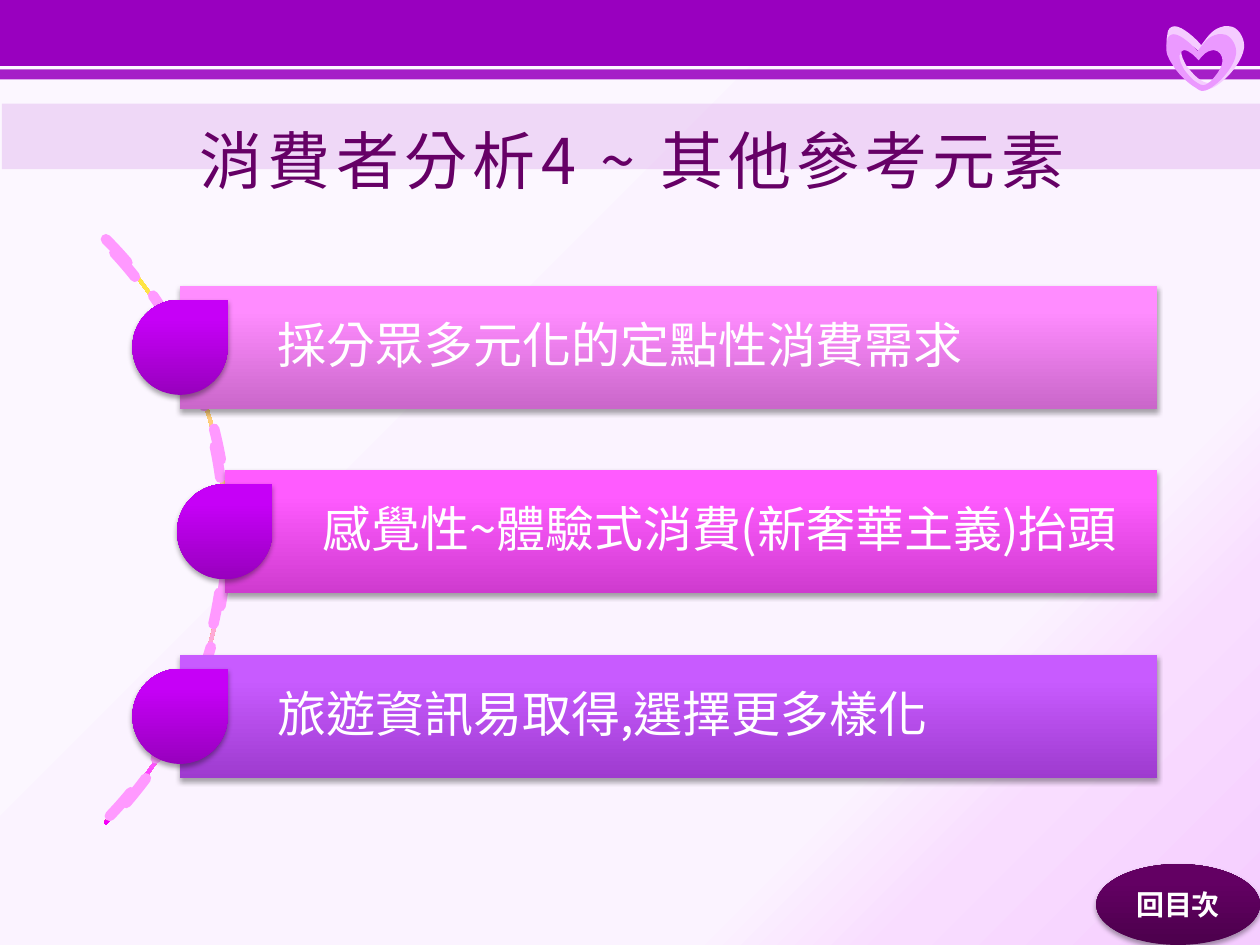
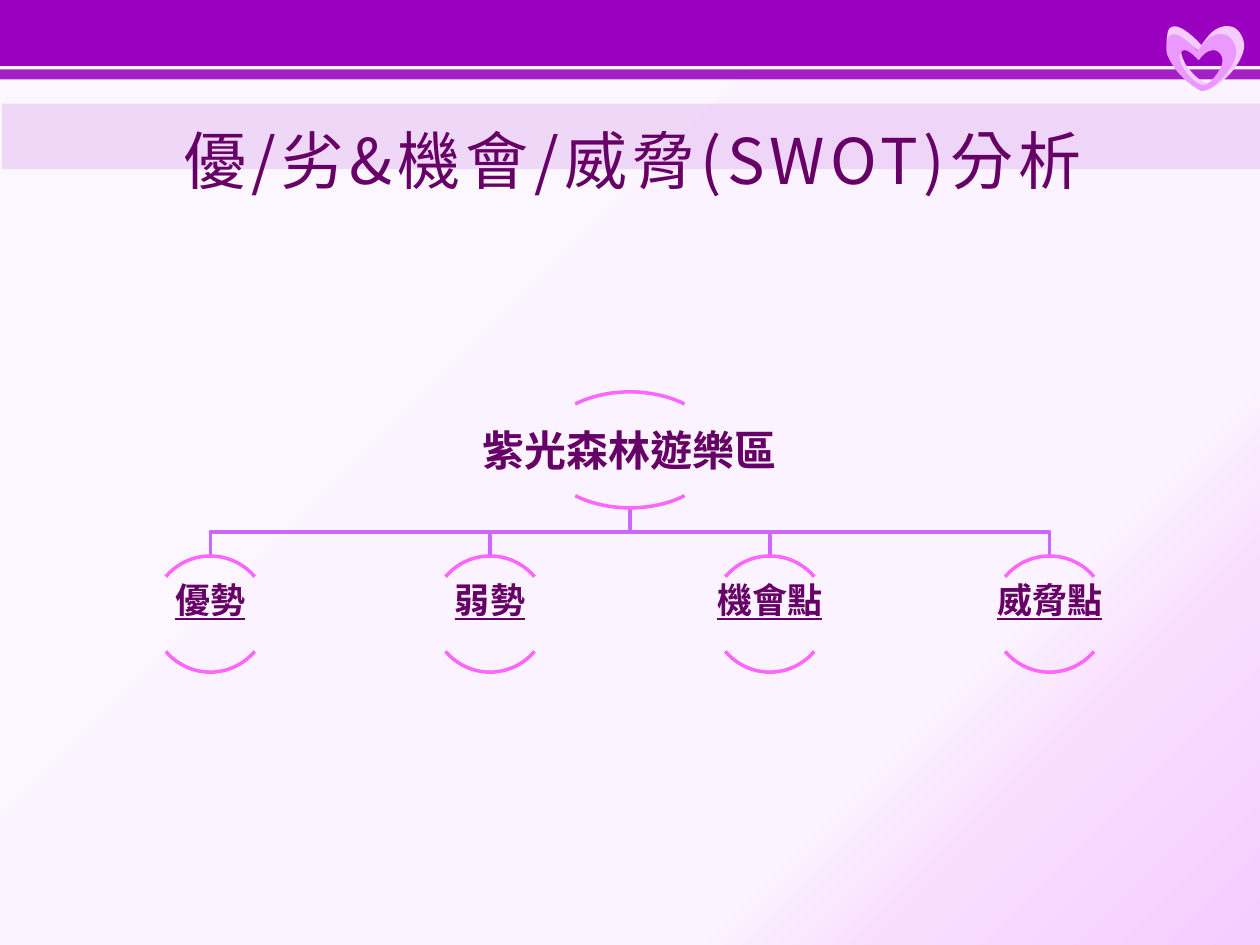
from lxml import etree
from pptx import Presentation
from pptx.dml.color import RGBColor
from pptx.enum.dml import MSO_LINE
from pptx.enum.lang import MSO_LANGUAGE_ID as Language
from pptx.enum.shapes import MSO_SHAPE as Preset
from pptx.enum.text import MSO_ANCHOR as Anchor, PP_ALIGN as Align
from pptx.oxml import parse_xml
from pptx.oxml.ns import nsdecls, qn
from pptx.util import Cm, Pt

PURPLE = RGBColor(0x99, 0x00, 0xBF)
PLUM = RGBColor(0x66, 0x00, 0x66)
PINK = RGBColor(0xFF, 0x66, 0xFF)
LIGHT_PINK = RGBColor(0xFF, 0x99, 0xFF)
VIOLET = RGBColor(0xCC, 0x66, 0xFF)
PALE_LILAC = RGBColor(0xF5, 0xCC, 0xFF)
LILAC = RGBColor(0xEB, 0x99, 0xFF)
WHITE = RGBColor(0xFF, 0xFF, 0xFF)
CJK_FONT = "Noto Sans CJK SC"
LATIN_FONT = "Arial"


def gradient_stops(positions, *colors):
    return [(position, RGBColor.from_string(color)) for position, color in zip(positions, colors)]


GLOSS = (0, 80, 100)
SWEEP = (0, 74, 83, 100)
PAGE_STOPS = gradient_stops(SWEEP, "FCF7FF", "FBF3FF", "F9DDFF", "F5CCFF")
ARC_STOPS = gradient_stops(SWEEP, "FFFF00", "FF99FF", "FF00FF", "9900BF")
DROP_STOPS = gradient_stops(GLOSS, "9800BE", "C600F7", "C700F8")
BUTTON_STOPS = gradient_stops(GLOSS, "4C004C", "630063", "630063")

FACTORS_TITLE = "消費者分析4 ~ 其他參考元素"
FACTORS = [  # text, indent in cm, gradient
    ("採分眾多元化的定點性消費需求", 0, gradient_stops(GLOSS, "CA67CA", "FF8CFF", "FF8EFF")),
    ("感覺性~體驗式消費(新奢華主義)抬頭", 0.9, gradient_stops(GLOSS, "CF3BCF", "FF5BFF", "FF5DFF")),
    ("旅遊資訊易取得,選擇更多樣化", 0, gradient_stops(GLOSS, "9E3BCF", "C85BFF", "C95DFF")),
]
BUTTON_TEXT = "回目次"

SWOT_TITLE = "優/劣&機會/威脅(SWOT)分析"
SWOT_ROOT = "紫光森林遊樂區"
SWOT_BRANCHES = ["優勢", "弱勢", "機會點", "威脅點"]
NODE_HEIGHT = 2.34

BANDS = [  # left, top, width, height in cm, opacity in percent
    (0, 0, 25.4, 1.33, 100),
    (0.04, 2.09, 25.4, 1.32, 12),
    (0, 1.4, 25.4, 0.2, 87),
]
HEART_UNIT = Cm(0.0254)
HEARTS = [  # left, top in cm, scale, colour
    (23.48, 0.53, 1, PALE_LILAC),
    (23.48, 0.69, 0.9, LILAC),
]
# Each contour is a start point followed by cubic curves.
HEART_HOLE = [
    (34, 45), (36, 45, 37, 44, 40, 42), (44, 38, 51, 30, 51, 23), (51, 19, 48, 14, 43, 14),
    (36, 15, 34, 18, 30, 23), (28, 21, 22, 14, 17, 14), (16, 14, 14, 15, 13, 19),
    (13, 24, 15, 27, 17, 31), (20, 35, 25, 41, 29, 43), (31, 44, 32, 45, 34, 45),
]
HEART_RIM = [
    (51, 0), (58, 0, 63, 9, 63, 15), (63, 16, 63, 16, 63, 17), (62, 27, 51, 40, 44, 45),
    (40, 48, 37, 50, 33, 50), (32, 50, 29, 49, 27, 47), (20, 43, 11, 34, 7, 27),
    (3, 21, 0, 16, 2, 7), (2, 2, 5, 0, 8, 0), (14, 0, 25, 10, 29, 15),
    (35, 7, 38, 2, 47, 0), (49, 0, 50, 0, 51, 0),
]


def set_gradient(properties, stops, angle=None):
    """Replace the fill by a gradient, linear at an angle or spreading from the top left."""
    gradient = parse_xml(f'<a:gradFill {nsdecls("a")} rotWithShape="1"><a:gsLst/></a:gradFill>')
    for position, color in stops:
        stop = etree.SubElement(gradient[0], qn("a:gs"), pos=str(position * 1000))
        etree.SubElement(stop, qn("a:srgbClr"), val=str(color))
    if angle is None:
        radial = etree.SubElement(gradient, qn("a:path"), path="circle")
        etree.SubElement(radial, qn("a:fillToRect"), r="100000", b="100000")
    else:
        etree.SubElement(gradient, qn("a:lin"), ang=str(angle * 60000), scaled="0")
    properties.replace(properties.find(qn("a:solidFill")), gradient)


def strip(shape, color=None):
    """Remove line and shadow, and fill with the colour, if any."""
    shape.shadow.inherit = False
    shape.line.fill.background()
    if color is None:
        shape.fill.background()
    else:
        shape.fill.solid()
        shape.fill.fore_color.rgb = color


def add_plain(slide, preset, left, top, width, height, color=None):
    shape = slide.shapes.add_shape(preset, Cm(left), Cm(top), Cm(width), Cm(height))
    strip(shape, color)
    return shape


def add_glossy(slide, preset, left, top, width, height, stops):
    """Add a shape with a vertical gradient and a soft shadow below."""
    shape = add_plain(slide, preset, left, top, width, height, PURPLE)
    properties = shape.element.spPr
    set_gradient(properties, stops, 270)
    shadow = etree.SubElement(properties.find(qn("a:effectLst")), qn("a:outerShdw"),
                              blurRad=str(Pt(3.1)), dist=str(Pt(1.8)), dir="5400000", rotWithShape="0")
    black = etree.SubElement(shadow, qn("a:srgbClr"), val="000000")
    etree.SubElement(black, qn("a:alpha"), val="35000")
    return shape


def set_line(shape, color, width):
    shape.line.color.rgb = color
    shape.line.width = Pt(width)


def write(shape, text, size, color, align=Align.CENTER, anchor=Anchor.MIDDLE,
          font_name=CJK_FONT, bold=False, underline=False):
    frame = shape.text_frame
    frame.text = text
    frame.word_wrap = True
    frame.vertical_anchor = anchor
    paragraph = frame.paragraphs[0]
    paragraph.alignment = align
    for run in paragraph.runs:
        font = run.font
        font.name, font.size, font.bold = font_name, Pt(size), bold
        font.underline = underline
        font.color.rgb = color
        font.language_id = Language.TRADITIONAL_CHINESE
        run_properties = run._r.get_or_add_rPr()
        run_properties.find(qn("a:latin")).addnext(
            parse_xml(f'<a:ea {nsdecls("a")} typeface="{CJK_FONT}"/>'))
    return paragraph


def set_margins(frame, left, others):
    frame.margin_left = Cm(left)
    frame.margin_top = frame.margin_right = frame.margin_bottom = Cm(others)


def add_heart(slide, left, top, scale, color):
    """Draw the contours with straight sides, then bend each side into its cubic curve."""
    unit = scale * HEART_UNIT
    anchors = [[(x * unit, y * unit) for *_, x, y in contour] for contour in (HEART_HOLE, HEART_RIM)]
    builder = slide.shapes.build_freeform(*anchors[0][0])
    builder.add_line_segments(anchors[0][1:], close=True)
    builder.move_to(*anchors[1][0])
    builder.add_line_segments(anchors[1][1:], close=True)
    heart = builder.convert_to_shape(Cm(left), Cm(top))
    strip(heart, color)

    left_edge = min(x for contour in anchors for x, _ in contour)
    sides = list(heart.element.spPr.iter(qn("a:lnTo")))
    for side, curve in zip(sides, HEART_HOLE[1:] + HEART_RIM[1:]):
        bend = etree.Element(qn("a:cubicBezTo"))
        for x, y in zip(curve[::2], curve[1::2]):
            etree.SubElement(bend, qn("a:pt"), x=str(round(x * unit - left_edge)), y=str(round(y * unit)))
        side.getparent().replace(side, bend)
    return heart


def dress_master(presentation, slide):
    """Set the background, then draw bands and hearts on the slide and move them to the master."""
    master = presentation.slide_master
    master.background.fill.solid()
    master.background.fill.fore_color.rgb = WHITE
    set_gradient(master.element.find(".//" + qn("p:bgPr")), PAGE_STOPS)
    decorations = []
    for *box, opacity in BANDS:
        band = add_plain(slide, Preset.RECTANGLE, *box, PURPLE)
        color = band.element.spPr.find(qn("a:solidFill"))[0]
        etree.SubElement(color, qn("a:alpha"), val=str(opacity * 1000))
        decorations.append(band)
    decorations += [add_heart(slide, *heart) for heart in HEARTS]
    for index, shape in enumerate(decorations):
        shape.element.nvSpPr.cNvPr.id = 100 + index
        master.shapes.element.insert(2 + index, shape.element)


def add_titled_slide(presentation, title_text):
    slide = presentation.slides.add_slide(presentation.slide_layouts[5])
    title = slide.shapes.title
    title.left, title.top, title.width, title.height = Cm(1.95), Cm(2.11), Cm(21.59), Cm(2.21)
    paragraph = write(title, title_text, 36, PLUM)
    paragraph.runs[0]._r.get_or_add_rPr().set("spc", "300")
    return slide


def draw_factors(slide):
    arc = add_plain(slide, Preset.BLOCK_ARC, -12.11, 2.38, 16.69, 16.69, PURPLE)
    for index, value in enumerate((189, 27, 0.004)):
        arc.adjustments[index] = value
    set_gradient(arc.element.spPr, ARC_STOPS, 90)
    set_line(arc, LIGHT_PINK, 6)
    arc.line.dash_style = MSO_LINE.DASH
    arc.element.spPr.find(qn("a:ln")).set("cap", "rnd")

    left, right, first_top, pitch, height, drop = 3.63, 23.33, 5.76, 3.72, 2.48, 1.92
    for index, (text, indent, stops) in enumerate(FACTORS):
        bar_left, top = left + indent, first_top + index * pitch
        bar = add_glossy(slide, Preset.RECTANGLE, bar_left, top, right - bar_left, height, stops)
        write(bar, text, 28, WHITE, Align.LEFT).line_spacing = 0.9
        set_margins(bar.text_frame, 1.97, 0.2)
        add_glossy(slide, Preset.TEAR, bar_left - drop / 2, top + (height - drop) / 2,
                   drop, drop, DROP_STOPS)

    button = add_glossy(slide, Preset.OVAL, 22.1, 17.42, 3.3, 1.63, BUTTON_STOPS)
    write(button, BUTTON_TEXT, 16, WHITE, bold=True)


def add_elbow(slide, start_x, start_y, end_x, end_y):
    middle_y = (start_y + end_y) / 2
    points = [(Cm(x), Cm(y)) for x, y in
              ((start_x, start_y), (start_x, middle_y), (end_x, middle_y), (end_x, end_y))]
    builder = slide.shapes.build_freeform(*points[0])
    builder.add_line_segments(points[1:], close=False)
    elbow = builder.convert_to_shape()
    strip(elbow)
    set_line(elbow, VIOLET, 2)


def add_node(slide, text, center, top, width, label_width, size, anchor, underline=False):
    """Add a label between an upper and a lower arc."""
    for angles in ((132, 192), (24, 84)):
        arc = add_plain(slide, Preset.ARC, center - width / 2, top, width, NODE_HEIGHT)
        arc.adjustments[0], arc.adjustments[1] = angles
        set_line(arc, PINK, 2)
    label = slide.shapes.add_textbox(Cm(center - label_width / 2), Cm(top + 0.42),
                                     Cm(label_width), Cm(1.5))
    set_margins(label.text_frame, 0.04, 0.04)
    write(label, text, size, PLUM, anchor=anchor, font_name=LATIN_FONT, bold=True,
          underline=underline)


def draw_swot(slide):
    center, root_top, branch_top, pitch = 12.7, 7.9, 11.21, 5.64
    middle = (len(SWOT_BRANCHES) - 1) / 2
    centers = [center + (index - middle) * pitch for index in range(len(SWOT_BRANCHES))]
    for branch_center in reversed(centers):
        add_elbow(slide, center, root_top + NODE_HEIGHT, branch_center, branch_top)
    add_node(slide, SWOT_ROOT, center, root_top, 3.6, 7.2, 24, Anchor.MIDDLE)
    for text, branch_center in zip(SWOT_BRANCHES, centers):
        add_node(slide, text, branch_center, branch_top, NODE_HEIGHT, 4.65, 20, Anchor.TOP,
                 underline=True)


def main():
    presentation = Presentation()
    presentation.slide_width, presentation.slide_height = Cm(25.4), Cm(19.05)
    factors_slide = add_titled_slide(presentation, FACTORS_TITLE)
    dress_master(presentation, factors_slide)
    draw_factors(factors_slide)
    draw_swot(add_titled_slide(presentation, SWOT_TITLE))
    presentation.save("out.pptx")


if __name__ == "__main__":
    main()
